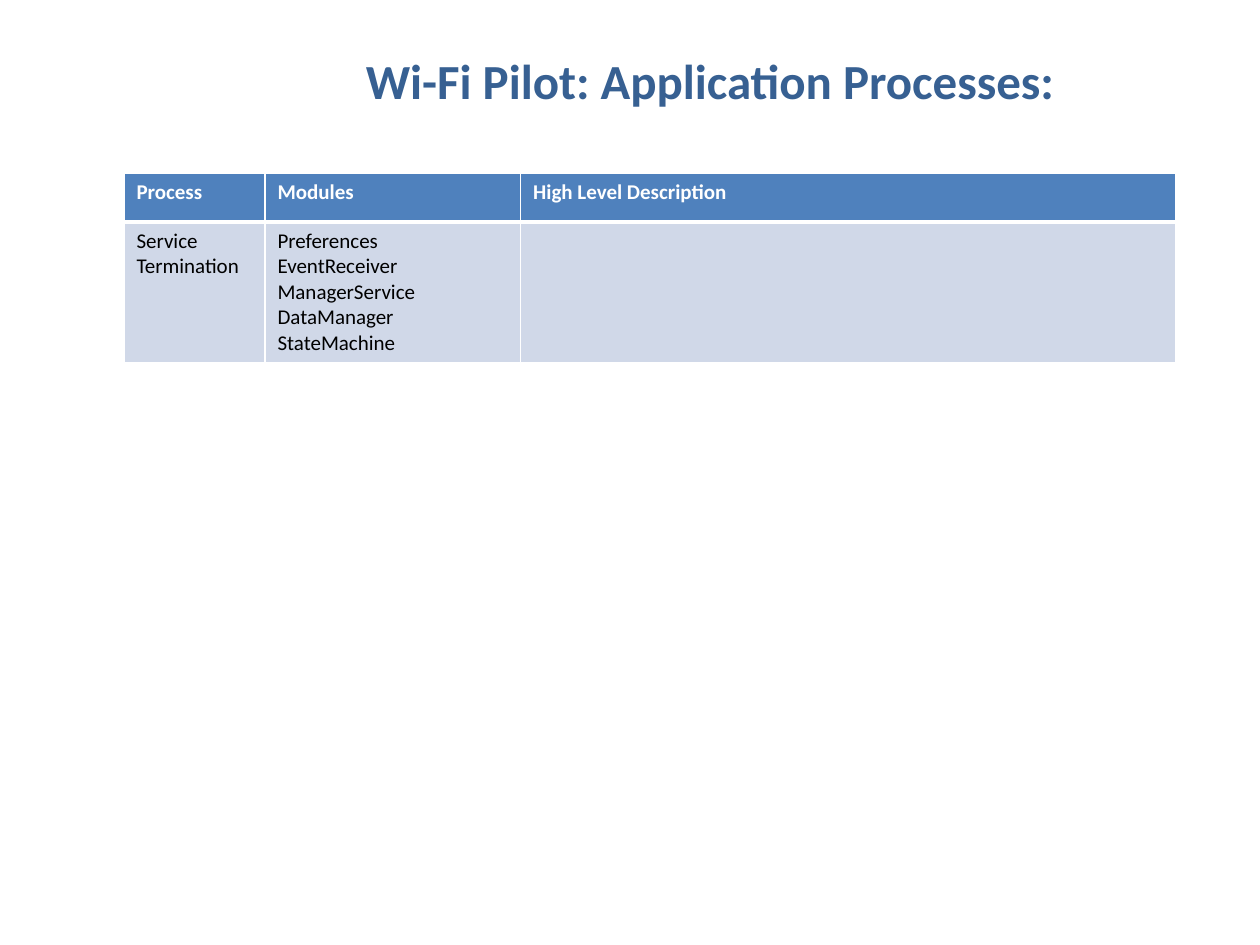
import pptx
import pptx.util
import pptx.dml.color
import pptx.enum.text
import pptx.oxml
import pptx.oxml.ns

Pt = pptx.util.Pt
ALIGN = pptx.enum.text.PP_ALIGN
ANCHOR = pptx.enum.text.MSO_ANCHOR

COLORS = {"title": "376092", "head": "4F81BD", "body": "D0D8E8",
          "white": "FFFFFF", "black": "000000"}
FONTS = {
    "title": {"name": "Calibri", "size": Pt(28), "bold": True},
    "head": {"name": "Calibri", "size": Pt(12), "bold": True},
    "body": {"name": "Calibri", "size": Pt(12), "bold": False},
}
ROWS = [
    ["Process", "Modules", "High Level Description"],
    ["Service Termination",
     "Preferences\nEventReceiver\nManagerService\nDataManager\nStateMachine",
     ""],
]
COL_SHARES = [1.12, 2.03, 5.2]
ROW_HEIGHTS = [28, 79]


def rgb(name):
    return pptx.dml.color.RGBColor.from_string(COLORS[name])


def format_text(tf, style, color):
    for p in tf.paragraphs:
        for r in p.runs:
            for key, value in FONTS[style].items():
                setattr(r.font, key, value)
            r.font.color.rgb = rgb(color)


def set_borders(cell, bottom):
    tcPr = cell._tc.get_or_add_tcPr()
    widths = {"lnL": 1, "lnR": 1, "lnT": 1, "lnB": bottom}
    # Borders come before the fill in a cell's properties
    for i, (tag, width) in enumerate(widths.items()):
        tcPr.insert(i, pptx.oxml.parse_xml(
            f'<a:{tag} {pptx.oxml.ns.nsdecls("a")} w="{Pt(width)}">'
            f'<a:solidFill><a:srgbClr val="{COLORS["white"]}"/></a:solidFill>'
            f'</a:{tag}>'))


def add_title(s, text, x, y, w, h):
    sp = s.shapes.title
    sp.left, sp.top, sp.width, sp.height = Pt(x), Pt(y), Pt(w), Pt(h)
    tf = sp.text_frame
    tf.text = text
    tf.vertical_anchor = ANCHOR.MIDDLE
    tf.paragraphs[0].alignment = ALIGN.CENTER
    format_text(tf, "title", "title")


def add_process_table(s, x, y, w):
    table = s.shapes.add_table(len(ROWS), len(COL_SHARES), Pt(x), Pt(y),
                               Pt(w), Pt(sum(ROW_HEIGHTS))).table
    for col, share in zip(table.columns, COL_SHARES):
        col.width = Pt(w * share / sum(COL_SHARES))
    for i, texts in enumerate(ROWS):
        table.rows[i].height = Pt(ROW_HEIGHTS[i])
        style, color, bottom = ("body", "black", 1) if i else ("head", "white", 3)
        for j, text in enumerate(texts):
            cell = table.cell(i, j)
            cell.text = text
            format_text(cell.text_frame, style, color)
            cell.fill.solid()
            cell.fill.fore_color.rgb = rgb(style)
            set_borders(cell, bottom)
            # The header's thick rule is shared with the row below
            if i == 1:
                top = cell._tc.tcPr.find(pptx.oxml.ns.qn("a:lnT"))
                top.set("w", str(Pt(3)))


# Slide
prs = pptx.Presentation()
prs.slide_width, prs.slide_height = Pt(720), Pt(540)
s = prs.slides.add_slide(prs.slide_layouts[5])
add_title(s, "Wi-Fi Pilot: Application Processes:", 121.7, 20.9, 568, 49.7)
add_process_table(s, 70.8, 98.8, 601)
prs.save("out.pptx")
